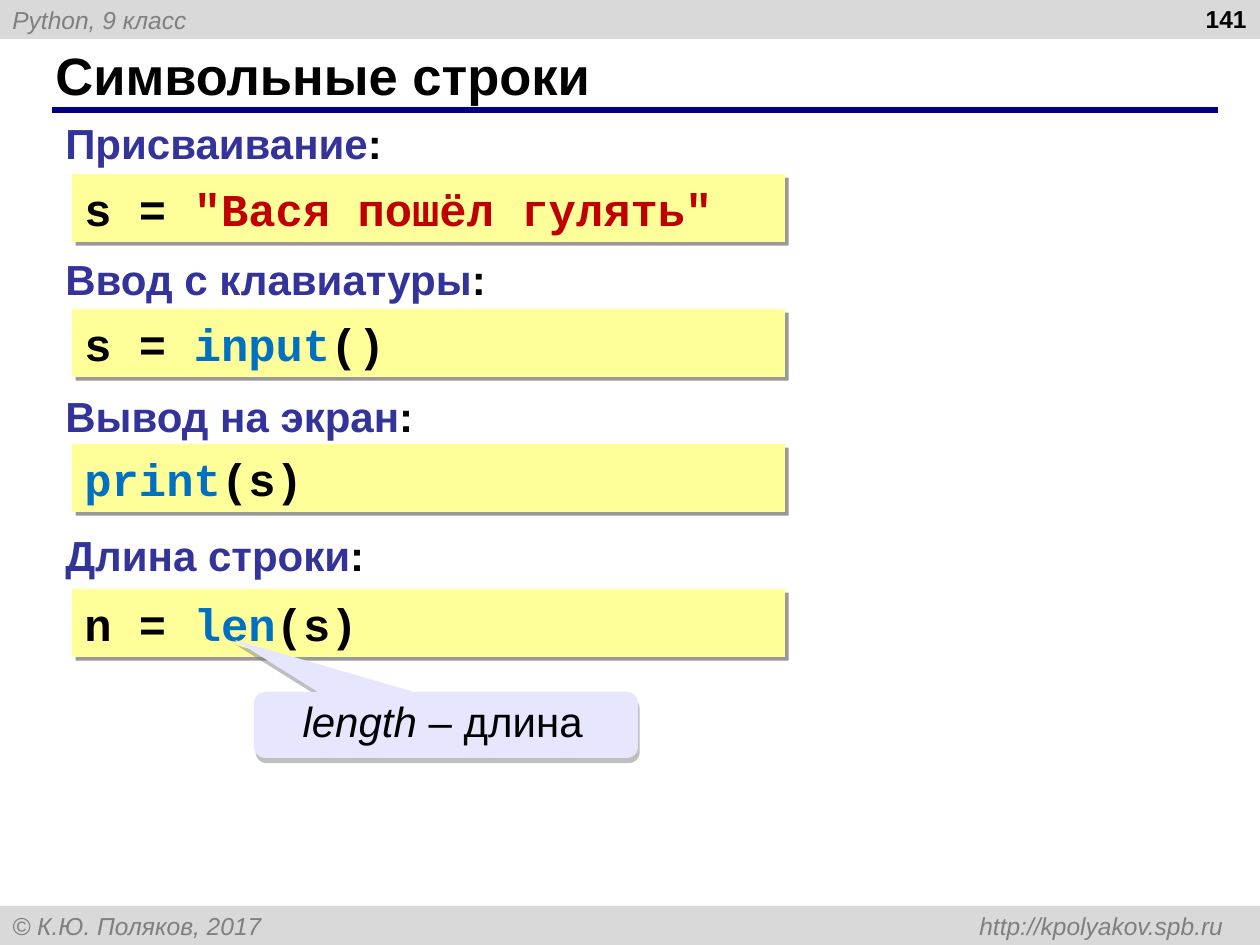
from dataclasses import dataclass

from lxml.etree import SubElement
from pptx import Presentation
from pptx.dml.color import RGBColor
from pptx.enum.shapes import MSO_CONNECTOR, MSO_SHAPE
from pptx.enum.text import MSO_ANCHOR, PP_ALIGN
from pptx.oxml.ns import qn
from pptx.util import Emu, Pt

PX_PER_INCH = 126


def px(count):
    return Emu(round(count * 914400 / PX_PER_INCH))


@dataclass(frozen=True)
class Theme:
    sans: str = "Arial"
    mono: str = "Courier New"
    black: str = "000000"
    bar: str = "D9D9D9"
    muted: str = "7F7F7F"
    rule: str = "000080"
    label: str = "333399"
    code: str = "FFFF99"
    string: str = "C00000"
    builtin: str = "0070C0"
    callout: str = "E6E6FF"
    callout_shadow: str = "808080"
    small: int = 14
    body: int = 24
    code_size: int = 26
    title: int = 30


def add_span(para, text, *, size, color, font, bold=False, italic=False):
    span = para.add_run()
    span.text = text
    span.font.size = Pt(size)
    span.font.name = font
    span.font.bold = bold
    span.font.italic = italic
    span.font.color.rgb = RGBColor.from_string(color)


class SlideBuilder:
    def __init__(self, page, theme):
        self.page = page
        self.theme = theme

    def frame(self, box, anchor=MSO_ANCHOR.MIDDLE, align=PP_ALIGN.LEFT):
        box.text_frame.word_wrap = True
        box.text_frame.vertical_anchor = anchor
        para = box.text_frame.paragraphs[0]
        para.alignment = align
        return para

    def text(self, area, anchor=MSO_ANCHOR.TOP, align=PP_ALIGN.LEFT):
        box = self.page.shapes.add_textbox(*map(px, area))
        return self.frame(box, anchor, align)

    def panel(self, kind, area, fill):
        box = self.page.shapes.add_shape(kind, *map(px, area))
        box.fill.solid()
        box.fill.fore_color.rgb = RGBColor.from_string(fill)
        box.line.fill.background()
        box.shadow.inherit = False
        return box

    def cast_shadow(self, box, color, opacity, distance, angle):
        effects = box.element.spPr.find(qn("a:effectLst"))
        shadow = SubElement(effects, qn("a:outerShdw"), blurRad="0", dist=str(Pt(distance)),
                            dir=str(angle * 60000), algn="ctr", rotWithShape="0")
        tint = SubElement(shadow, qn("a:srgbClr"), val=color)
        SubElement(tint, qn("a:alpha"), val=str(opacity * 1000))

    def bar(self, top, text, right_tab=None):
        para = self.frame(self.panel(MSO_SHAPE.RECTANGLE, (0, top, 1260, 39), self.theme.bar))
        if right_tab:
            tabs = SubElement(para._p.get_or_add_pPr(), qn("a:tabLst"))
            SubElement(tabs, qn("a:tab"), pos=str(px(right_tab)), algn="r")
        add_span(para, text, size=self.theme.small, color=self.theme.muted,
                 font=self.theme.sans, italic=True)

    def rule(self, left, right, y):
        line = self.page.shapes.add_connector(
            MSO_CONNECTOR.STRAIGHT, px(left), px(y), px(right), px(y))
        line.line.color.rgb = RGBColor.from_string(self.theme.rule)
        line.line.width = Pt(3)
        SubElement(line.element.spPr, qn("a:effectLst"))

    def label(self, top, width, text):
        para = self.text((53, top, width, 63))
        for part, color in ((text, self.theme.label), (":", self.theme.black)):
            add_span(para, part, size=self.theme.body, color=color,
                     font=self.theme.sans, bold=True)

    def code(self, top, parts):
        box = self.panel(MSO_SHAPE.RECTANGLE, (72, top, 713, 68), self.theme.code)
        self.cast_shadow(box, self.theme.black, 40, 3, 45)
        para = self.frame(box)
        for part, color in parts:
            add_span(para, part, size=self.theme.code_size, color=color,
                     font=self.theme.mono, bold=True)

    def callout(self, area, tip, parts):
        box = self.panel(MSO_SHAPE.ROUNDED_RECTANGULAR_CALLOUT, area, self.theme.callout)
        box.adjustments[0], box.adjustments[1] = tip
        box.adjustments[2] = 0.17
        self.cast_shadow(box, self.theme.callout_shadow, 50, 3.2, 72)
        para = self.frame(box, align=PP_ALIGN.CENTER)
        para.line_spacing = 0.8
        box.text_frame.margin_left, box.text_frame.margin_right = px(8), px(3)
        for part, italic in parts:
            add_span(para, part, size=self.theme.body, color=self.theme.black,
                     font=self.theme.sans, italic=italic)


def main():
    deck = Presentation()
    deck.slide_width, deck.slide_height = px(1260), px(945)
    theme = Theme()
    slide = SlideBuilder(deck.slides.add_slide(deck.slide_layouts[6]), theme)

    # Header and footer bars
    slide.bar(0, "Python, 9 класс")
    slide.bar(906, "© К.Ю. Поляков, 2017 \thttp://kpolyakov.spb.ru", right_tab=1211)

    # Title, rule and page number
    slide.rule(52, 1218, 110)
    add_span(slide.text((43, 42, 1154, 66), MSO_ANCHOR.MIDDLE), "Символьные строки",
             size=theme.title, color=theme.black, font=theme.sans, bold=True)
    add_span(slide.text((965, -2, 294, 65), align=PP_ALIGN.RIGHT), "141",
             size=theme.small, color=theme.black, font=theme.sans, bold=True)

    # Labelled code examples: label top, label width, label, code top, code
    black, builtin = theme.black, theme.builtin
    examples = (
        (111, 353, "Присваивание", 174,
         (("s = ", black), ('"Вася пошёл гулять"', theme.string))),
        (247, 459, "Ввод с клавиатуры", 309,
         (("s = ", black), ("input", builtin), ("()", black))),
        (384, 629, "Вывод на экран", 444,
         (("print", builtin), ("(s)", black))),
        (523, 629, "Длина строки", 589,
         (("n = ", black), ("len", builtin), ("(s)", black))),
    )
    for label_top, width, label, code_top, parts in examples:
        slide.label(label_top, width, label)
        slide.code(code_top, parts)

    # Explanation of the function name
    slide.callout((254, 692, 384, 66), (-0.55, -1.29),
                  (("length", True), (" – длина ", False)))

    deck.save("out.pptx")


if __name__ == "__main__":
    main()
